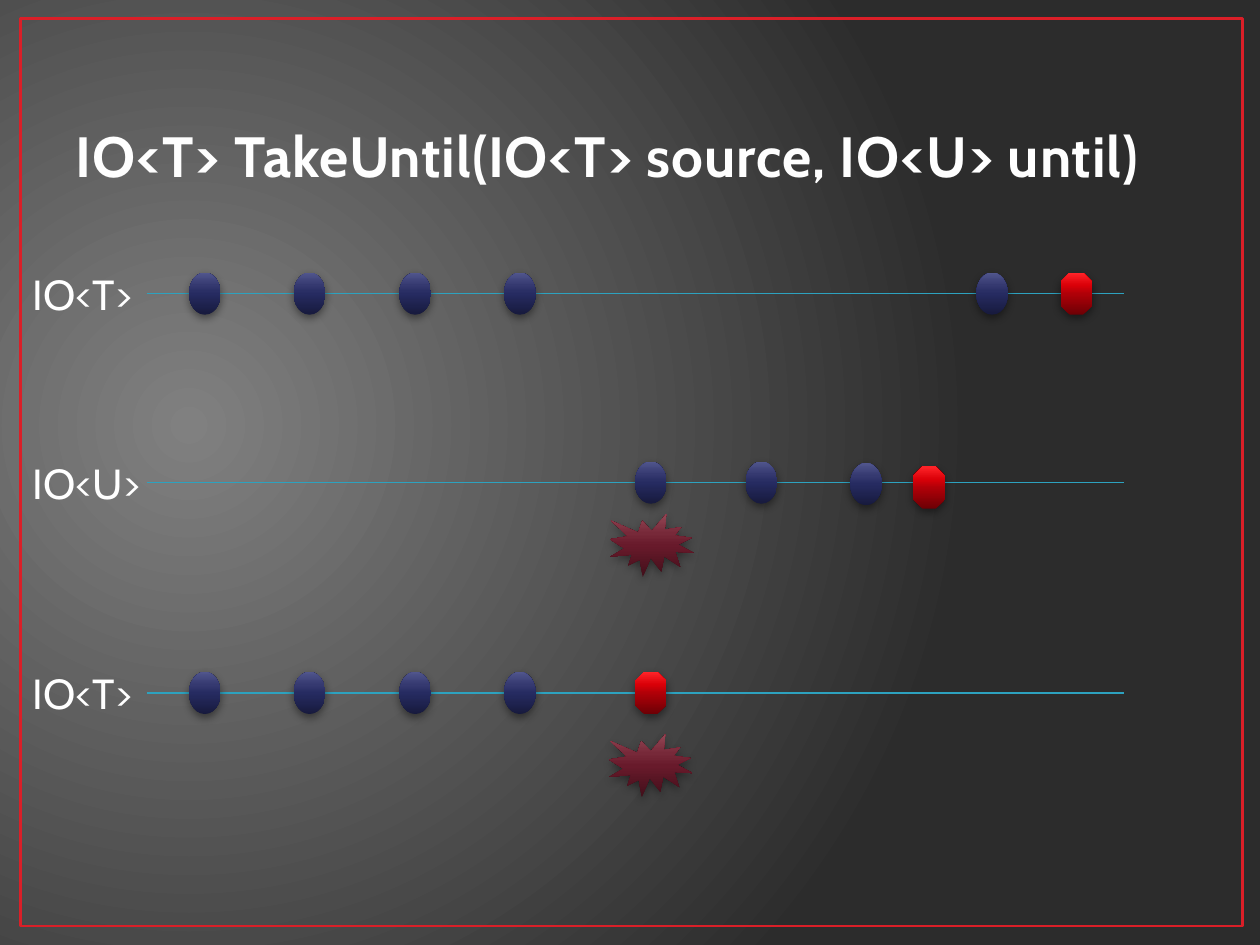
"""Build a marble diagram slide that explains TakeUntil."""
from lxml.etree import SubElement
from pptx import Presentation
from pptx.dml.color import RGBColor
from pptx.enum.shapes import MSO_CONNECTOR, MSO_SHAPE
from pptx.enum.text import MSO_ANCHOR, MSO_AUTO_SIZE, PP_ALIGN
from pptx.oxml.ns import qn
from pptx.util import Cm, Pt

TITLE = "IO<T> TakeUntil(IO<T> source, IO<U> until)"
FIRST_VALUES = [("value", x, 0) for x in (4.13, 6.24, 8.37, 10.48)]
STREAMS = [
    {"label": "IO<T>", "y": 5.92, "label_width": 2.57,
     "marks": FIRST_VALUES + [("value", 20, 0), ("end", 21.7, 0)]},
    {"label": "IO<U>", "y": 9.73, "label_width": 2.69,
     "marks": [("value", 13.12, 0), ("value", 15.35, 0), ("value", 17.46, 0.03),
               ("end", 18.73, 0.1), ("burst", 13.14, 1.27)]},
    {"label": "IO<T>", "y": 13.97, "label_width": 2.57,
     "marks": FIRST_VALUES + [("end", 13.12, 0), ("burst", 13.12, 1.47)]},
]
MARKS = {
    "value": (MSO_SHAPE.OVAL, 0.64, 0.85),
    "end": (MSO_SHAPE.OCTAGON, 0.64, 0.85),
    "burst": (MSO_SHAPE.EXPLOSION1, 1.69, 1.27),
}
LINE_START, LINE_END = 2.97, 22.66
LABEL_LEFT, LABEL_HEIGHT = 0.41, 1.27
THEME = {
    "font": "Cabin", "title_size": 32.4, "label_size": 24,
    "title": "FEFEFE", "label": "FFFFFF", "frame": "DA1F28", "line": "2DA2BF",
    "background": [(0, "808080"), (100, "2C2C2C")],
    "value": [(0, "171A3D"), (50, "262B61"), (70, "353970"), (100, "51568D")],
    "end": [(0, "6D0005"), (50, "B00008"), (70, "DA0008"), (100, "FF2429")],
    "burst": [(0, "420F1A"), (50, "681A2B"), (70, "772939"), (100, "944755")],
}


def color(name):
    return RGBColor.from_string(THEME[name])


def add_element(parent, tag, **attributes):
    return SubElement(parent, qn(tag), {key: str(value) for key, value in attributes.items()})


def set_gradient(owner, properties, stops):
    """Put a gradient in place of the owner's fill and return its element."""
    owner.fill.background()
    empty = properties().find(qn("a:noFill"))
    gradient = add_element(empty.getparent(), "a:gradFill", rotWithShape=1)
    empty.getparent().replace(empty, gradient)
    stop_list = add_element(gradient, "a:gsLst")
    for position, value in stops:
        stop = add_element(stop_list, "a:gs", pos=position * 1000)
        add_element(stop, "a:srgbClr", val=value)
    return gradient


def set_background(page):
    gradient = set_gradient(page.background, lambda: page.element.xpath(".//p:bgPr")[0],
                            THEME["background"])
    circle = add_element(gradient, "a:path", path="circle")
    add_element(circle, "a:fillToRect", l=15000, t=50000, r=85000, b=60000)


def add_frame(page):
    frame = page.shapes.add_shape(MSO_SHAPE.RECTANGLE, Cm(0.41), Cm(0.38), Cm(24.64), Cm(18.29))
    frame.shadow.inherit = False
    frame.fill.background()
    frame.line.color.rgb = color("frame")
    frame.line.width = Pt(1.5)


def set_text(box, text, role):
    box.text_frame.text = text
    paragraph = box.text_frame.paragraphs[0]
    paragraph.alignment = PP_ALIGN.LEFT
    paragraph.font.name = THEME["font"]
    paragraph.font.size = Pt(THEME[role + "_size"])
    paragraph.font.color.rgb = color(role)
    return paragraph


def set_title(page):
    title = page.shapes.title
    title.left, title.top, title.width, title.height = Cm(1.27), Cm(0.76), Cm(22.86), Cm(3.18)
    title.text_frame.vertical_anchor = MSO_ANCHOR.BOTTOM
    title.text_frame.auto_size = MSO_AUTO_SIZE.NONE
    paragraph = set_text(title, TITLE, "title")
    paragraph.font.bold = True
    paragraph.runs[0].font.bold = True
    paragraph.runs[0].font._element.set("spc", "50")


def add_line(page, y):
    line = page.shapes.add_connector(MSO_CONNECTOR.STRAIGHT, Cm(LINE_START), Cm(y),
                                     Cm(LINE_END), Cm(y))
    line.line.color.rgb = color("line")
    line.line.width = Pt(0.75)
    add_element(line.element.spPr, "a:effectLst")


def add_mark(page, kind, x, y):
    preset, width, height = MARKS[kind]
    mark = page.shapes.add_shape(preset, Cm(x - width / 2), Cm(y - height / 2),
                                 Cm(width), Cm(height))
    gradient = set_gradient(mark, lambda: mark.element.spPr, THEME[kind])
    add_element(gradient, "a:lin", ang=270 * 60000, scaled=0)
    mark.line.fill.background()
    mark.shadow.inherit = False
    effects = mark.element.spPr.find(qn("a:effectLst"))
    shadow = add_element(effects, "a:outerShdw", blurRad=Pt(5), dist=Pt(2),
                         dir=90 * 60000, rotWithShape=0)
    add_element(add_element(shadow, "a:srgbClr", val="000000"), "a:alpha", val=43000)


def add_label(page, text, width, y):
    box = page.shapes.add_textbox(Cm(LABEL_LEFT), Cm(y - LABEL_HEIGHT / 2),
                                  Cm(width), Cm(LABEL_HEIGHT))
    box.text_frame.word_wrap = False
    box.text_frame.auto_size = MSO_AUTO_SIZE.SHAPE_TO_FIT_TEXT
    set_text(box, text, "label")


def main():
    deck = Presentation()
    deck.slide_width, deck.slide_height = Cm(25.4), Cm(19.05)
    page = deck.slides.add_slide(deck.slide_layouts[5])
    set_background(page)
    add_frame(page)
    set_title(page)
    for stream in STREAMS:
        add_line(page, stream["y"])
        for kind, x, drop in stream["marks"]:
            add_mark(page, kind, x, stream["y"] + drop)
        add_label(page, stream["label"], stream["label_width"], stream["y"])
    deck.save("out.pptx")


if __name__ == "__main__":
    main()
